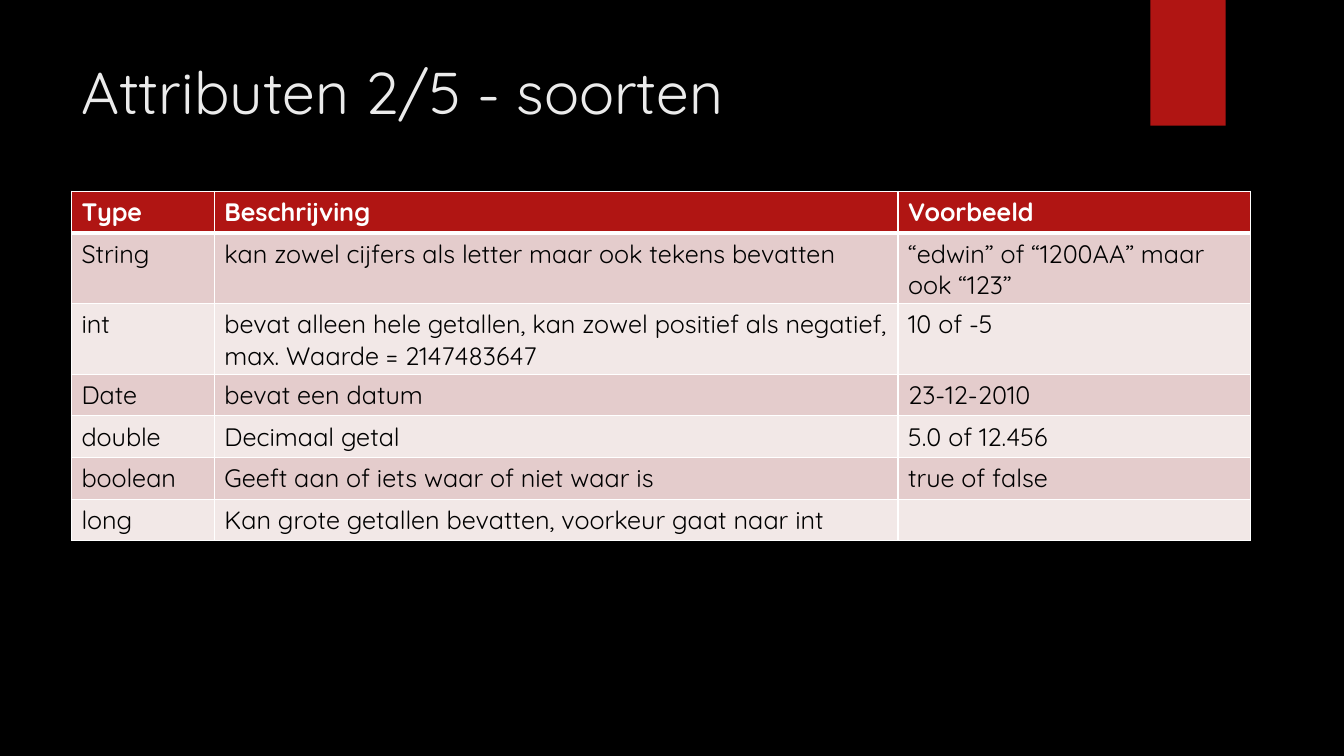
from dataclasses import dataclass

from lxml import etree
from pptx import Presentation
from pptx.dml.color import RGBColor
from pptx.enum.shapes import MSO_SHAPE
from pptx.enum.text import MSO_ANCHOR
from pptx.oxml.ns import qn
from pptx.slide import Slide
from pptx.table import _Cell
from pptx.text.text import TextFrame
from pptx.util import Cm, Pt

RECTANGLE = MSO_SHAPE.RECTANGLE
TOP = MSO_ANCHOR.TOP


@dataclass(frozen=True)
class Theme:
    font: str = "Quicksand"
    background: str = "000000"
    accent: str = "B01513"
    title_text: str = "EBEBEB"
    header_text: str = "FFFFFF"
    body_text: str = "000000"
    border: str = "FFFFFF"
    bands: tuple[str, str] = ("E4CCCC", "F2E8E7")
    title_size: float = 42
    table_size: float = 18
    thin_border: float = 1
    thick_border: float = 3


@dataclass(frozen=True)
class AttributeType:
    name: str
    description: str
    example: str


THEME = Theme()
TITLE = "Attributen 2/5 - soorten"
HEADER = AttributeType("Type", "Beschrijving", "Voorbeeld")
ATTRIBUTE_TYPES = (
    AttributeType(
        "String",
        "kan zowel cijfers als letter maar ook tekens bevatten",
        "“edwin” of “1200AA” maar ook “123”",
    ),
    AttributeType(
        "int",
        "bevat alleen hele getallen, kan zowel positief als negatief, "
        "max. Waarde = 2147483647",
        "10 of -5",
    ),
    AttributeType("Date", "bevat een datum", "23-12-2010"),
    AttributeType("double", "Decimaal getal", "5.0 of 12.456"),
    AttributeType("boolean", "Geeft aan of iets waar of niet waar is", "true of false"),
    AttributeType("long", "Kan grote getallen bevatten, voorkeur gaat naar int", ""),
)
COLUMN_WIDTHS = (Cm(3.6), Cm(17.23), Cm(8.88))
ROW_HEIGHT = Cm(1.05)
LEFT = Cm(1.8)


def write_text(
    frame: TextFrame, text: str, size: float, color: str, bold: bool = False
) -> None:
    frame.text = text
    for para in frame.paragraphs:
        for span in para.runs:
            span.font.name = THEME.font
            span.font.size = Pt(size)
            span.font.bold = bold
            span.font.color.rgb = RGBColor.from_string(color)


def set_borders(cell: _Cell, top: float, bottom: float) -> None:
    """Draw all four sides; top and bottom widths are in points."""
    thin = THEME.thin_border
    sides = (("a:lnL", thin), ("a:lnR", thin), ("a:lnT", top), ("a:lnB", bottom))
    properties = cell._tc.get_or_add_tcPr()
    for position, (side, width) in enumerate(sides):
        line = etree.Element(qn(side), w=str(Pt(width)))
        fill = etree.SubElement(line, qn("a:solidFill"))
        etree.SubElement(fill, qn("a:srgbClr"), val=THEME.border)
        properties.insert(position, line)


def add_title(page: Slide) -> None:
    box = page.shapes.add_textbox(LEFT, Cm(1.27), Cm(26.14), Cm(3.89))
    box.text_frame.word_wrap = True
    box.text_frame.vertical_anchor = TOP
    write_text(box.text_frame, TITLE, THEME.title_size, THEME.title_text)


def add_ribbon(page: Slide) -> None:
    ribbon = page.shapes.add_shape(RECTANGLE, Cm(28.99), 0, Cm(1.9), Cm(3.17))
    ribbon.shadow.inherit = False
    ribbon.fill.solid()
    ribbon.fill.fore_color.rgb = RGBColor.from_string(THEME.accent)
    ribbon.line.fill.background()


def add_type_table(page: Slide) -> None:
    rows = (HEADER, *ATTRIBUTE_TYPES)
    table = page.shapes.add_table(
        len(rows), len(COLUMN_WIDTHS), LEFT, Cm(4.82),
        sum(COLUMN_WIDTHS), ROW_HEIGHT * len(rows),
    ).table
    table.horz_banding = False
    for column, width in zip(table.columns, COLUMN_WIDTHS):
        column.width = width
    for index, row in enumerate(rows):
        table.rows[index].height = ROW_HEIGHT
        is_header = index == 0
        fill = THEME.accent if is_header else THEME.bands[(index - 1) % 2]
        color = THEME.header_text if is_header else THEME.body_text
        top = THEME.thick_border if index == 1 else THEME.thin_border
        bottom = THEME.thick_border if is_header else THEME.thin_border
        texts = (row.name, row.description, row.example)
        for cell, text in zip(table.rows[index].cells, texts):
            cell.fill.solid()
            cell.fill.fore_color.rgb = RGBColor.from_string(fill)
            set_borders(cell, top, bottom)
            write_text(cell.text_frame, text, THEME.table_size, color, is_header)


def main() -> None:
    deck = Presentation()
    deck.slide_width, deck.slide_height = Cm(33.87), Cm(19.05)
    page = deck.slides.add_slide(deck.slide_layouts[6])
    page.background.fill.solid()
    page.background.fill.fore_color.rgb = RGBColor.from_string(THEME.background)
    add_ribbon(page)
    add_title(page)
    add_type_table(page)
    deck.save("out.pptx")


if __name__ == "__main__":
    main()
